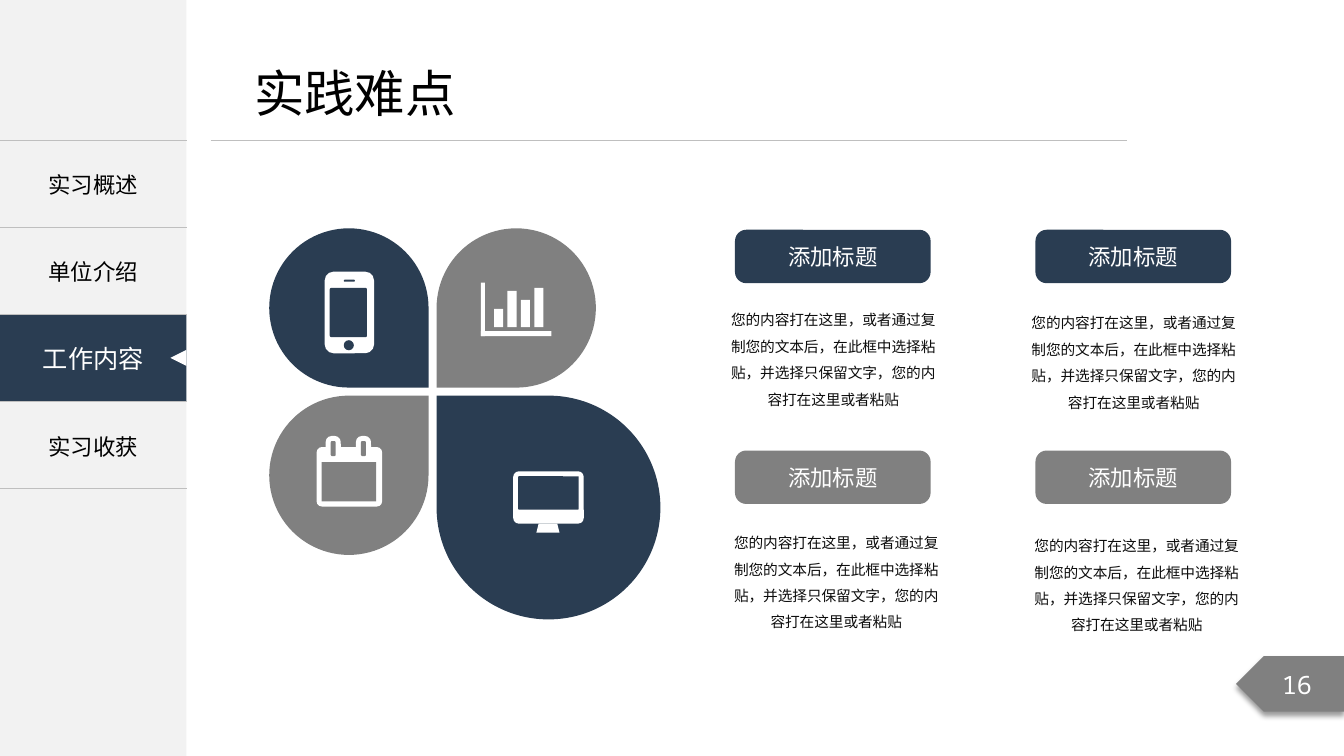
from lxml.etree import SubElement
from pptx import Presentation
from pptx.dml.color import RGBColor
from pptx.enum.shapes import MSO_CONNECTOR, MSO_SHAPE as Kind
from pptx.enum.text import MSO_ANCHOR as Anchor, MSO_AUTO_SIZE as Fit, PP_ALIGN as Align
from pptx.oxml import parse_xml
from pptx.oxml.ns import nsdecls, qn
from pptx.util import Inches, Pt

# Content
TITLE = "实践难点"
MENU = ["实习概述", "单位介绍", "工作内容", "实习收获"]
ACTIVE = 2
PAGE = "16"
HEAD = "添加标题"
BODY = "您的内容打在这里，或者通过复制您的文本后，在此框中选择粘贴，并选择只保留文字，您的内容打在这里或者粘贴"

# Style
NAVY = RGBColor(0x2A, 0x3D, 0x52)
GRAY = RGBColor(0x80, 0x80, 0x80)
PALE = RGBColor(0xF2, 0xF2, 0xF2)
RULE = RGBColor(0xBF, 0xBF, 0xBF)
WHITE = RGBColor(255, 255, 255)
BLACK = RGBColor(0, 0, 0)
INK = RGBColor(0x0D, 0x0D, 0x0D)
SANS, LATO, MONO = "Noto Sans CJK SC", "Lato", "Noto Sans Mono"

# Grid
WIDE, HIGH = 13.33, 7.5
SIDE, TOP, ROW = 1.85, 1.39, 0.865
MIDX, MIDY, GAP = 4.29, 3.885, 0.04
SMALL, LARGE = 1.58, 2.22
CARDX, CARDY, STEPX, STEPY = 7.29, 2.28, 2.98, 2.19

# Icon parts: kind, left, top, width, height (from the drop's corner), corner, is white
RECT, ROUND, OVAL = Kind.RECTANGLE, Kind.ROUNDED_RECTANGLE, Kind.OVAL
PHONE = [
    (ROUND, 0.55, 0.43, 0.49, 0.81, 0.18, True),
    (ROUND, 0.60, 0.59, 0.37, 0.49, 0.05, False),
    (ROUND, 0.74, 0.51, 0.11, 0.02, 0.5, False),
    (OVAL, 0.74, 1.11, 0.10, 0.10, None, False),
]
BARS = [(RECT, 0.44, 0.54, 0.04, 0.53, None, True),
        (RECT, 0.44, 1.02, 0.70, 0.05, None, True)]
BARS += [(RECT, 0.57 + 0.133 * i, 0.98 - h, 0.09, h, None, True)
         for i, h in enumerate([0.18, 0.36, 0.27, 0.39])]
DATES = [(ROUND, 0.47, 0.51, 0.65, 0.59, 0.09, True),
         (RECT, 0.52, 0.66, 0.54, 0.39, None, False)]
for x in (0.56, 0.86):
    DATES += [(ROUND, x, 0.40, 0.15, 0.24, 0.4, True),
              (ROUND, x + 0.05, 0.45, 0.05, 0.15, 0.3, False)]
SCREEN = [
    (ROUND, 0.76, 0.75, 0.70, 0.52, 0.11, True),
    (ROUND, 0.81, 0.80, 0.60, 0.33, 0.02, False),
    (Kind.TRAPEZOID, 0.99, 1.27, 0.23, 0.09, None, True),
]
# Drops: column, row, size, turn, colour, icon
DROPS = [
    (0, 1, SMALL, 0, GRAY, DATES),
    (1, 1, LARGE, 270, NAVY, SCREEN),
    (1, 0, SMALL, 180, GRAY, BARS),
    (0, 0, SMALL, 90, NAVY, PHONE),
]

deck = Presentation()
deck.slide_width, deck.slide_height = Inches(WIDE), Inches(HIGH)
slide = deck.slides.add_slide(deck.slide_layouts[5])
shapes = slide.shapes


def draw(kind, x, y, w, h, fill, turn=0, corner=None):
    item = shapes.add_shape(kind, Inches(x), Inches(y), Inches(w), Inches(h))
    item.shadow.inherit = False
    item.fill.solid()
    item.fill.fore_color.rgb = fill
    item.line.fill.background()
    item.rotation = turn
    if corner is not None:
        item.adjustments[0] = corner
    return item


def write(frame, text, size, color, face=SANS, align=Align.CENTER):
    para = frame.paragraphs[0]
    para.alignment = align
    run = para.add_run()
    run.text = text
    run.font.size = Pt(size)
    run.font.color.rgb = color
    run.font.name = face
    east = SubElement(run.font._element, qn("a:ea"))
    east.set("typeface", SANS)
    return para


def inset(frame, x, y):
    frame.margin_left = frame.margin_right = Inches(x)
    frame.margin_top = frame.margin_bottom = Inches(y)


# Side bar and active band
draw(RECT, 0, 0, SIDE, HIGH, PALE)
bandy = TOP + ACTIVE * ROW
band = draw(RECT, 0, bandy, SIDE, ROW, NAVY)
band.text_frame.vertical_anchor = Anchor.MIDDLE
write(band.text_frame, MENU[ACTIVE], 18, WHITE)
draw(Kind.ISOSCELES_TRIANGLE, SIDE - 0.16, bandy + 0.35, 0.16, 0.16, WHITE, 270)

# Menu table
frame = shapes.add_table(len(MENU), 1, 0, Inches(TOP), Inches(SIDE), Inches(ROW * len(MENU)))
menu = frame.table
menu.first_row = menu.horz_banding = False
for i, label in enumerate(MENU):
    menu.rows[i].height = Inches(ROW)
    cell = menu.cell(i, 0)
    cell.vertical_anchor = Anchor.MIDDLE
    props = cell._tc.get_or_add_tcPr()
    for side in ("lnL", "lnR", "lnT", "lnB"):
        ink = (f'<a:solidFill><a:srgbClr val="{RULE}"/></a:solidFill>'
               if side in ("lnT", "lnB") else "<a:noFill/>")
        props.append(parse_xml(f'<a:{side} {nsdecls("a")} w="12700">{ink}</a:{side}>'))
    cell.fill.background()
    if i != ACTIVE:
        write(cell.text_frame, label, 16, BLACK)

# Title and rule
title = shapes.title
title.left, title.top, title.width, title.height = map(Inches, (2.42, 0.57, 2.22, 0.71))
box = title.text_frame
box.word_wrap = False
box.auto_size = Fit.NONE
box.vertical_anchor = Anchor.TOP
write(box, TITLE, 36, BLACK, align=Align.LEFT)
rule = shapes.add_connector(MSO_CONNECTOR.STRAIGHT, Inches(2.09), Inches(TOP),
                            Inches(11.18), Inches(TOP))
rule.line.color.rgb = RULE
rule.line.width = Pt(0.5)
SubElement(rule._element.spPr, qn("a:effectLst"))

# Page tag
tag = draw(Kind.PENTAGON, WIDE - 1.07, 6.51, 1.07, 0.55, GRAY)
tag._element.spPr.find(qn("a:xfrm")).set("flipH", "1")
glow = tag._element.spPr.find(qn("a:effectLst"))
glow.append(parse_xml(
    f'<a:outerShdw {nsdecls("a")} blurRad="50800" dist="38100" dir="5400000">'
    '<a:srgbClr val="000000"><a:alpha val="40000"/></a:srgbClr></a:outerShdw>'))
tag.text_frame.vertical_anchor = Anchor.MIDDLE
write(tag.text_frame, PAGE, 18, WHITE, MONO)

# Four drops around the centre, each with its icon
for col, row, size, turn, color, icon in DROPS:
    left = MIDX + GAP if col else MIDX - GAP - size
    top = MIDY + GAP if row else MIDY - GAP - size
    draw(Kind.TEAR, left, top, size, size, color, turn)
    for kind, x, y, w, h, corner, white in icon:
        draw(kind, left + x, top + y, w, h, WHITE if white else color, corner=corner)

# Cards: heading and text
for row, color in enumerate((NAVY, GRAY)):
    for col in range(2):
        left, top = CARDX + col * STEPX, CARDY + row * STEPY
        pill = draw(ROUND, left, top, 1.94, 0.53, color, corner=0.21)
        inset(pill.text_frame, 0, 0)
        pill.text_frame.vertical_anchor = Anchor.MIDDLE
        write(pill.text_frame, HEAD, 16, WHITE, LATO)
        note = shapes.add_textbox(Inches(left - 0.15 + 0.03 * row),
                                  Inches(top + 0.69 + 0.03 * col + 0.02 * row),
                                  Inches(2.25), Inches(1.11)).text_frame
        note.word_wrap = True
        inset(note, 0.05, 0.03)
        write(note, BODY, 10.5, INK).line_spacing = 1.5

deck.save("out.pptx")
